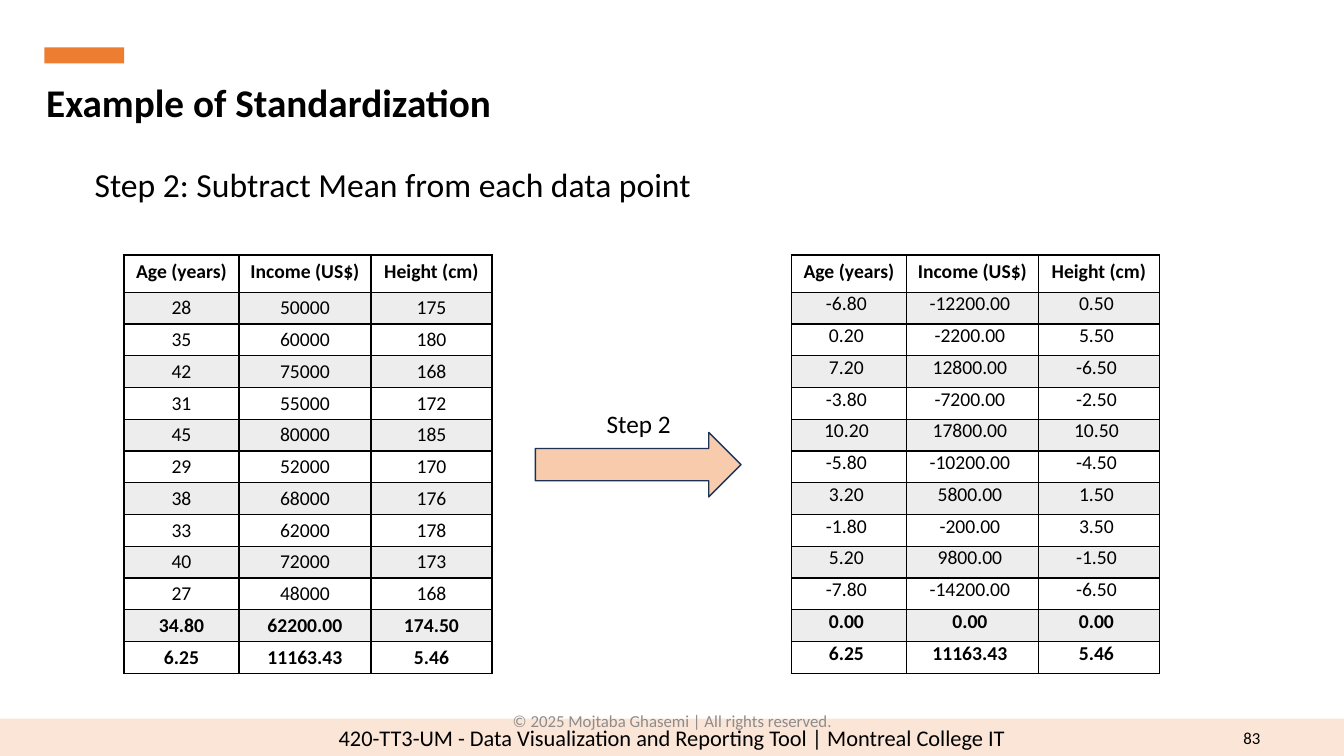
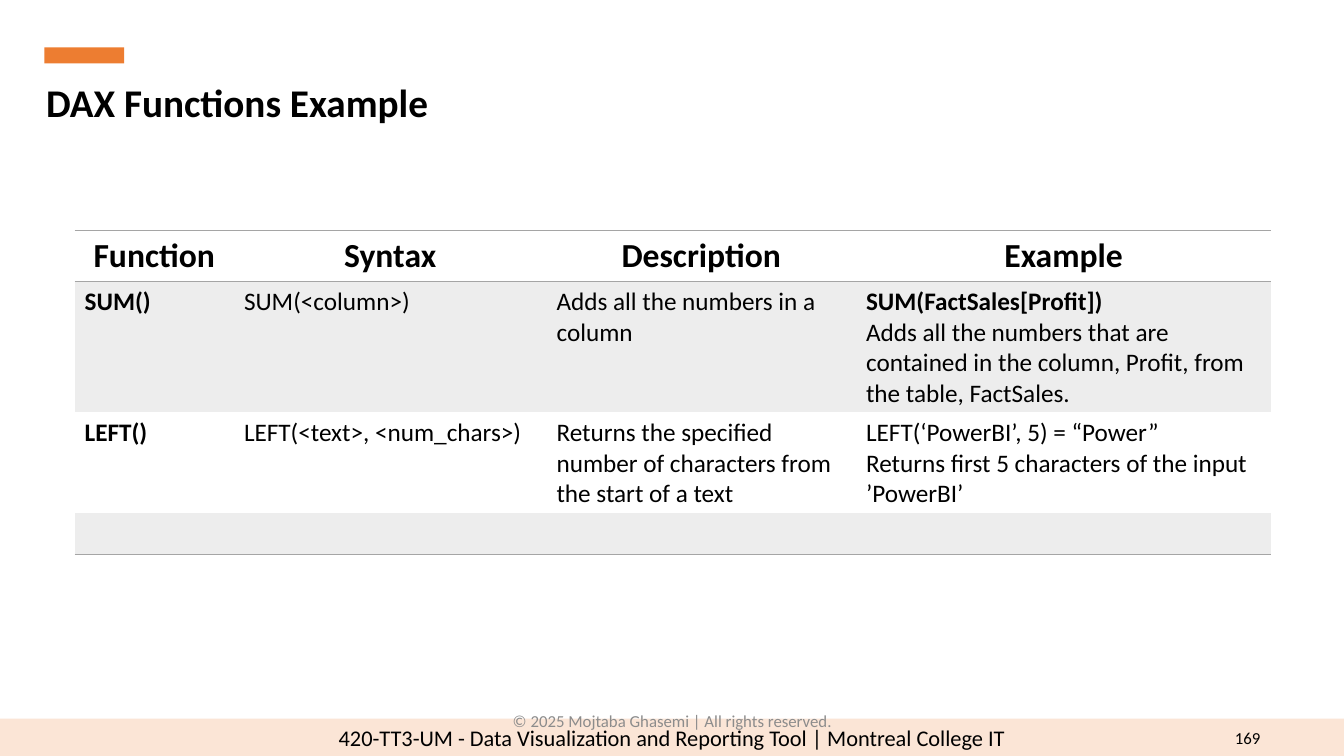
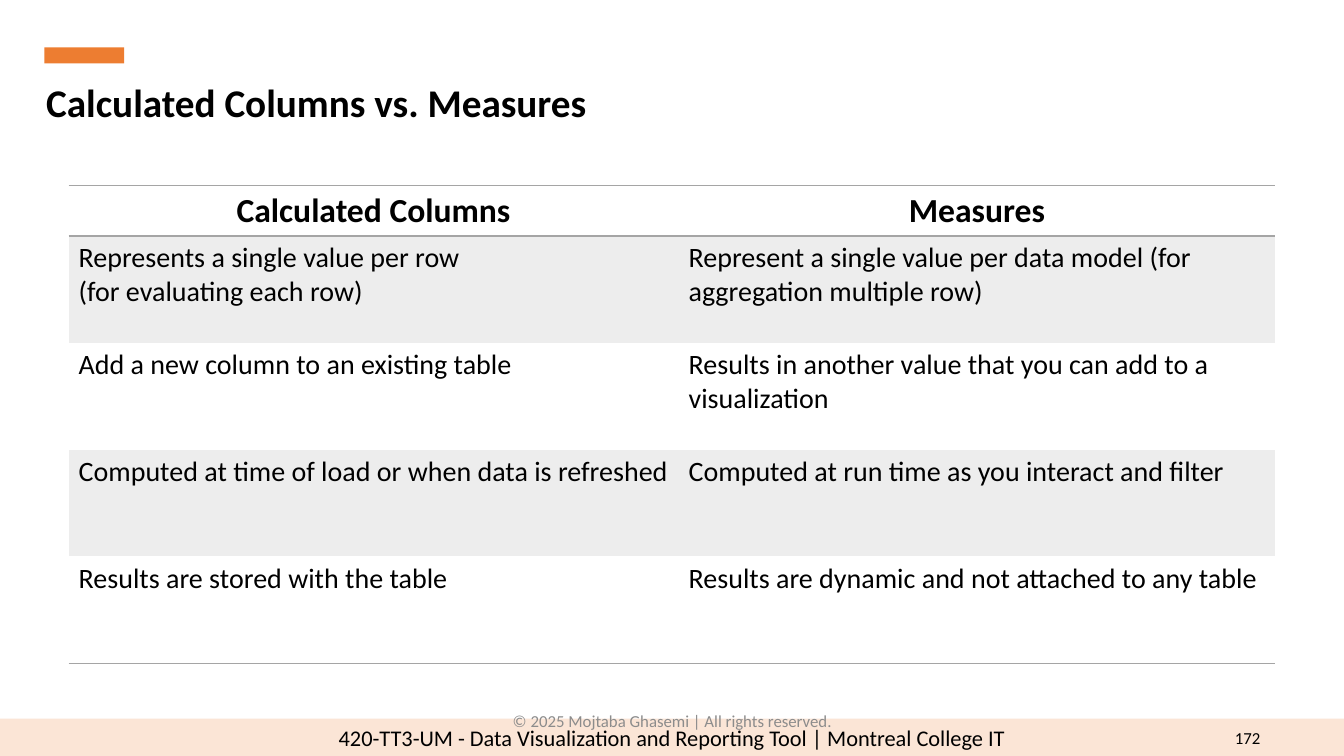
from lxml import etree
from pptx import Presentation
from pptx.dml.color import RGBColor
from pptx.enum.shapes import MSO_SHAPE
from pptx.enum.text import MSO_ANCHOR, PP_ALIGN
from pptx.oxml.ns import qn
from pptx.util import Inches, Pt

LEFT, MID, RIGHT = PP_ALIGN.LEFT, PP_ALIGN.CENTER, PP_ALIGN.RIGHT
TOP, CENTER = MSO_ANCHOR.TOP, MSO_ANCHOR.MIDDLE
RECT, ARROW = MSO_SHAPE.RECTANGLE, MSO_SHAPE.RIGHT_ARROW
BLACK, GRAY, STRIPE, NOTE = "000000", "A5A5A5", "EDEDED", "8C8C8C"
ORANGE, PEACH, SALMON, NAVY = "ED7D31", "FBE5D6", "F8CBAD", "1E3256"
PLAIN_STYLE = "{2D5ABB26-0587-4C30-8999-92F81FD0307C}"
color = RGBColor.from_string


def write(frame, text, size, align=LEFT, bold=False, ink=BLACK):
    """Fill a text frame, one paragraph for each line."""
    for i, line in enumerate(text.split("\n")):
        para = frame.paragraphs[0] if i == 0 else frame.add_paragraph()
        para.alignment = align
        run = para.add_run()
        run.text = line
        look = {"name": "Calibri", "size": Pt(size), "bold": bold}
        for key, value in look.items():
            setattr(run.font, key, value)
        run.font.color.rgb = color(ink)


def grid(slide, left, top, widths, heights, rows, size, align=LEFT,
         head=24, bold=(), boxed=False, anchor=TOP, pads=None):
    """Draw a striped table, ruled in full or only around head and foot."""
    frame = slide.shapes.add_table(
        len(rows), len(widths), Inches(left), Inches(top),
        Inches(sum(widths)), Inches(sum(heights)))
    frame._element.xpath(".//a:tableStyleId")[0].text = PLAIN_STYLE
    table = frame.table
    table.first_row = table.horz_banding = False
    for col, width in zip(table.columns, widths):
        col.width = Inches(width)
    for r, row in enumerate(rows):
        table.rows[r].height = Inches(heights[r])
        for c, text in enumerate(row):
            cell = table.cell(r, c)
            # Borders go before the fill
            if boxed:
                sides = "LRTB"
            else:
                sides = "TB" if r == 0 else "B" if r == len(rows) - 1 else ""
            props = cell._tc.get_or_add_tcPr()
            for side in sides:
                line = etree.SubElement(props, qn("a:ln" + side), w=str(Pt(1)))
                fill = etree.SubElement(line, qn("a:solidFill"))
                etree.SubElement(fill, qn("a:srgbClr"),
                                 val=BLACK if boxed else GRAY)
            if r % 2:
                cell.fill.solid()
                cell.fill.fore_color.rgb = color(STRIPE)
            else:
                cell.fill.background()
            if r:
                cell.vertical_anchor = anchor
                for key, value in (pads or {}).items():
                    setattr(cell, "margin_" + key, Inches(value))
            if text:
                write(cell.text_frame, text, size if r else head,
                      align if r else MID, r == 0 or (r, c) in bold)
    return table


deck = Presentation()
deck.slide_width, deck.slide_height = Inches(13.33), Inches(7.5)

# Shared parts: band, mark, title, page number, copyright
slides = []
for title, page in (("Example of Standardization", "83"),
                    ("DAX Functions Example", "169"),
                    ("Calculated Columns vs. Measures", "172")):
    slide = deck.slides.add_slide(deck.slide_layouts[6])
    slides.append(slide)
    for box, tint, text in (
            ((0, 7.13, 13.33, 0.37), PEACH,
             "420-TT3-UM - Data Visualization and Reporting Tool"
             " | Montreal College IT"),
            ((0.44, 0.47, 0.79, 0.16), ORANGE, "")):
        bar = slide.shapes.add_shape(RECT, *map(Inches, box))
        bar.shadow.inherit = False
        bar.fill.solid()
        bar.fill.fore_color.rgb = color(tint)
        bar.line.fill.background()
        if text:
            write(bar.text_frame, text, 16, MID)
    for box, text, size, align, bold, ink, anchor in (
            ((0.36, 0.73, 11.45, 0.57), title, 28, LEFT, True, BLACK, TOP),
            ((12.14, 7.12, 0.46, 0.4), page, 12, RIGHT, False, BLACK, CENTER),
            ((4.42, 6.95, 4.5, 0.4),
             "© 2025 Mojtaba Ghasemi | All rights reserved.",
             12, MID, False, NOTE, CENTER)):
        frame = slide.shapes.add_textbox(*map(Inches, box)).text_frame
        frame.word_wrap = True
        frame.vertical_anchor = anchor
        write(frame, text, size, align, bold, ink)

# Slide 1: data before and after the mean is subtracted
slide = slides[0]
people = [(28, 50000, 175), (35, 60000, 180), (42, 75000, 168),
          (31, 55000, 172), (45, 80000, 185), (29, 52000, 170),
          (38, 68000, 176), (33, 62000, 178), (40, 72000, 173),
          (27, 48000, 168)]
means = (34.8, 62200, 174.5)
devs = ["6.25", "11163.43", "5.46"]
names = ["Age (years)", "Income (US$)", "Height (cm)"]
before = [[str(v) for v in row] for row in people]
before.append([f"{m:.2f}" for m in means])
after = [[f"{v - m:.2f}" for v, m in zip(row, means)]
         for row in people + [means]]
sums = [(r, c) for r in (11, 12) for c in range(3)]
for left, rows, anchor, right in ((1.23, before, CENTER, 0.05),
                                  (7.85, after, TOP, 0.1)):
    grid(slide, left, 2.53, (1.14, 1.31, 1.2), [0.37] + [3.78 / 12] * 12,
         [names] + rows + [devs], 14, MID, 14, sums, True, anchor,
         {"left": 0.05, "right": right, "top": 0, "bottom": 0})

arrow = slide.shapes.add_shape(
    ARROW, Inches(5.31), Inches(4.29), Inches(2.04), Inches(0.64))
arrow.shadow.inherit = False
arrow.fill.solid()
arrow.fill.fore_color.rgb = color(SALMON)
arrow.line.color.rgb = color(NAVY)
arrow.line.width = Pt(1)

for box, text, size, align in (
        ((5.9, 4, 0.85, 0.4), "Step 2", 18, RIGHT),
        ((0.84, 1.58, 6.17, 0.5),
         "Step 2: Subtract Mean from each data point", 24, LEFT)):
    frame = slide.shapes.add_textbox(*map(Inches, box)).text_frame
    frame.word_wrap = False
    write(frame, text, size, align)

# Slide 2: functions
table = grid(slides[1], 0.74, 2.29, (1.58, 3.1, 3.07, 4.12),
             (0.5, 1.3, 1, 0.41), [
    ["Function", "Syntax", "Description", "Example"],
    ["SUM()", "SUM(<column>)", "Adds all the numbers in a column",
     "SUM(FactSales[Profit])\nAdds all the numbers that are contained in "
     "the column, Profit, from the table, FactSales."],
    ["LEFT()", "LEFT(<text>, <num_chars>)",
     "Returns the specified number of characters from the start of a text",
     "LEFT(‘PowerBI’, 5) = “Power”\n"
     "Returns first 5 characters of the input ’PowerBI’"],
    [""] * 4], 18, bold=[(1, 0), (2, 0)])
table.cell(1, 3).text_frame.paragraphs[0].runs[0].font.bold = True

# Slide 3: comparison
grid(slides[2], 0.68, 1.84, (6.05, 5.92), [0.5] + [1.06] * 4, [
    ["Calculated Columns", "Measures"],
    ["Represents a single value per row\n(for evaluating each row)",
     "Represent a single value per data model "
     "(for aggregation multiple row)"],
    ["Add a new column to an existing table",
     "Results in another value that you can add to a visualization"],
    ["Computed at time of load or when data is refreshed",
     "Computed at run time as you interact and filter"],
    ["Results are stored with the table",
     "Results are dynamic and not attached to any table"]], 20)

deck.save("out.pptx")
